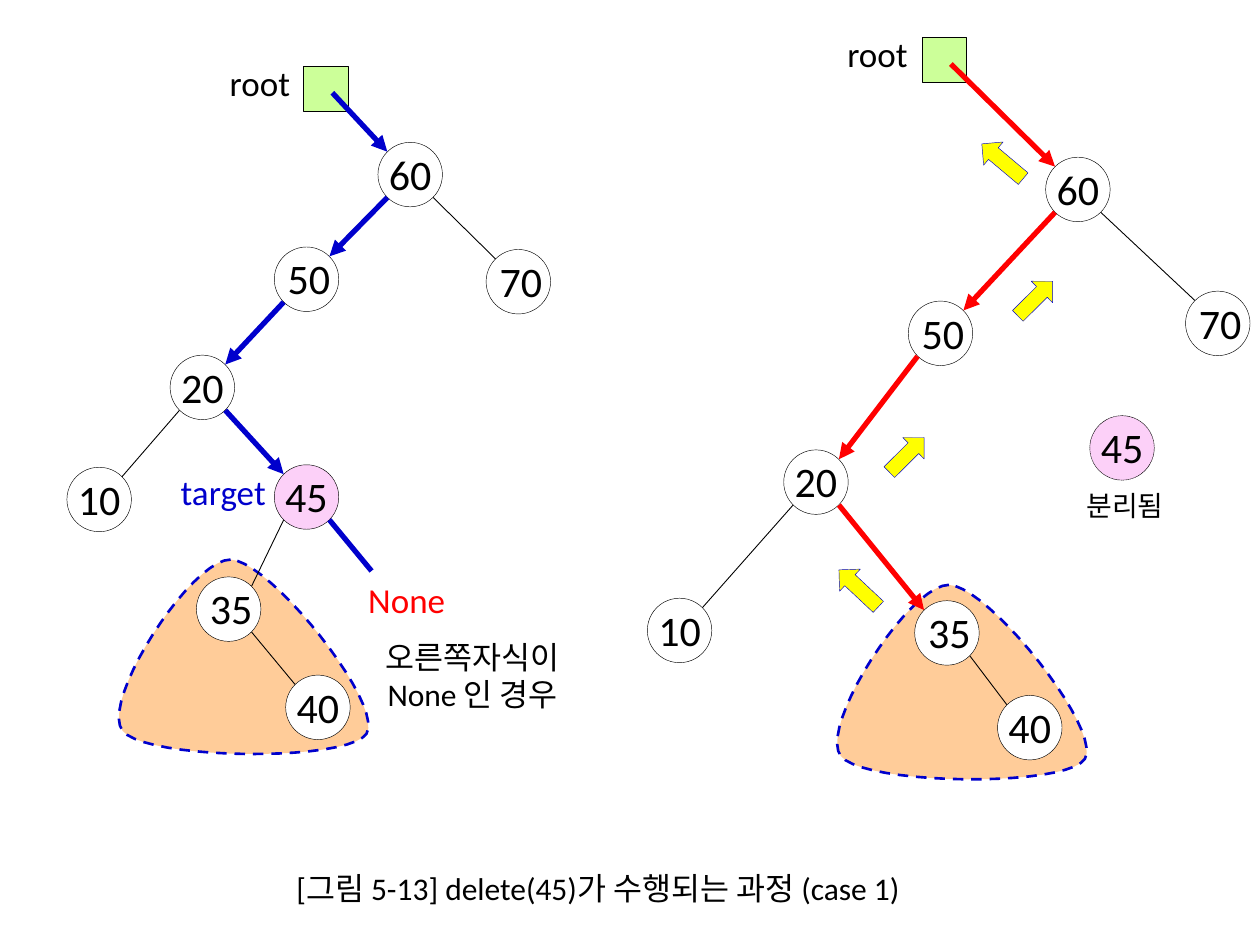
from lxml import etree
from pptx import Presentation
from pptx.dml.color import RGBColor
from pptx.enum.dml import MSO_LINE
from pptx.enum.shapes import MSO_CONNECTOR, MSO_SHAPE
from pptx.enum.text import MSO_ANCHOR, PP_ALIGN
from pptx.oxml.ns import qn
from pptx.util import Cm, Pt

OVAL, SQUARE, ARROW = MSO_SHAPE.OVAL, MSO_SHAPE.RECTANGLE, MSO_SHAPE.RIGHT_ARROW
STRAIGHT = MSO_CONNECTOR.STRAIGHT
CENTER, LEFT = PP_ALIGN.CENTER, PP_ALIGN.LEFT
DASH, SHORT_DASH = MSO_LINE.DASH, MSO_LINE.SQUARE_DOT

BLACK, WHITE, BLUE, RED = "000000", "FFFFFF", "0000CC", "FF0000"
PINK, GREEN, ORANGE, YELLOW = "FCD0F8", "CCFF99", "FFCC99", "FFFF00"
FONT = "Calibri"
NODE, ROOT = 1.3, 0.9
CORNER = NODE / 2 * 0.71
LABEL_SHIFT = {"35": 0.05, "50": 0.05, "70": 0.05}

# Each tree: node centres, edges, search path, colour and subtree apex, in cm
TREES = [
    {
        "root": (6.57, 1.79), "color": BLUE, "subtree": (4.65, 11.28),
        "nodes": {"60": (8.27, 3.52), "50": (6.18, 5.63), "70": (10.45, 5.68),
                  "20": (4.08, 7.81), "10": (2, 10.07), "45": (6.18, 10.02),
                  "35": (4.61, 12.28), "40": (6.41, 14.26)},
        "edges": [("60", "70"), ("20", "10"), ("45", "35"), ("35", "40")],
        "path": ["60", "50", "20", "45"],
    },
    {
        "root": (19.04, 1.21), "color": RED, "subtree": (19.13, 11.79),
        "nodes": {"60": (21.73, 3.82), "50": (18.96, 6.72), "70": (24.55, 6.52),
                  "20": (16.45, 9.72), "10": (13.7, 12.71),
                  "35": (19.09, 12.76), "40": (20.76, 14.67)},
        "edges": [("60", "70"), ("20", "10"), ("35", "40")],
        "path": ["60", "50", "20", "35"],
    },
]
SUBTREE_CURVES = [
    [(0, 0), (-0.81, 0), (-2.64, 2.87), (-2.18, 3.45)],
    [(-2.18, 3.45), (-1.73, 4.04), (2.36, 4.09), (2.74, 3.51)],
    [(2.74, 3.51), (3.1, 2.92), (0.81, 0.03), (0, 0)],
]
DETACHED = (22.62, 9.03)
NONE_EDGE = ((6.64, 10.48), (7.49, 11.51))
RETURN_ARROWS = [  # centre, length, rotation
    ((18.28, 9.17), 0.99, 315.2),
    ((20.87, 6.02), 0.99, 315.2),
    ((20.21, 3.25), 1.09, 220),
    ((17.31, 11.86), 1.09, 223.2),
]
NOTES = [  # lines, centre, size, font size, colour
    (["root"], (5.24, 1.68), (2, 1.12), 20, BLACK),
    (["root"], (17.69, 1.09), (2, 1.12), 20, BLACK),
    (["target"], (4.5, 9.93), (2.64, 1.12), 20, BLUE),
    (["None"], (8.2, 12.09), (2.49, 1.12), 20, RED),
    (["오른쪽자식이", "None 인 경우"], (9.53, 13.63), (4.62, 1.8), 18, BLACK),
    (["분리됨"], (22.68, 10.2), (3.68, 0.94), 16, BLACK),
]
CAPTION = "[그림 5-13] delete(45)가 수행되는 과정 (case 1)"


def color(hex_value):
    """Turn a hex string into a colour."""
    return RGBColor.from_string(hex_value)


def apply_format(target, values):
    """Set each attribute of the target from a dict."""
    for name, value in values.items():
        setattr(target, name, value)


def box(center, size):
    """Return left, top, width and height around a centre."""
    (x, y), (width, height) = center, size
    return Cm(x - width / 2), Cm(y - height / 2), Cm(width), Cm(height)


def paint(shape, fill, line, weight, dash=None):
    """Give a shape its fill and outline without a shadow."""
    shape.shadow.inherit = False
    shape.fill.solid()
    shape.fill.fore_color.rgb = color(fill)
    shape.line.color.rgb = color(line)
    apply_format(shape.line, {"width": Pt(weight), "dash_style": dash})


def write(frame, lines, size, text_color, alignment=CENTER):
    """Write the lines as formatted paragraphs."""
    apply_format(frame, {"word_wrap": True, "vertical_anchor": MSO_ANCHOR.TOP})
    frame.text = "\n".join(lines)
    for paragraph in frame.paragraphs:
        paragraph.alignment = alignment
        apply_format(paragraph.font, {"name": FONT, "size": Pt(size)})
        paragraph.font.color.rgb = color(text_color)


def add_text(slide, lines, center, size, font_size, text_color):
    """Add a text box around a centre."""
    text_box = slide.shapes.add_textbox(*box(center, size))
    write(text_box.text_frame, lines, font_size, text_color)


def add_node(slide, key, center, fill, dash=None):
    """Add a tree node with its key on top."""
    circle = slide.shapes.add_shape(OVAL, *box(center, (NODE, NODE)))
    paint(circle, fill, BLACK, 0.25, dash)
    x, y = center
    add_text(slide, [key], (x + LABEL_SHIFT.get(key, 0), y - 0.02),
             (1.5, 1.27), 24, BLACK)


def add_line(slide, start, end, line_color=BLACK, weight=0.5, arrow=False):
    """Add a straight line, with an arrowhead if asked."""
    line = slide.shapes.add_connector(STRAIGHT, *map(Cm, start + end))
    line.line.color.rgb = color(line_color)
    line.line.width = Pt(weight)
    if arrow:
        etree.SubElement(line.line._get_or_add_ln(), qn("a:tailEnd"), type="triangle")
    etree.SubElement(line._element.spPr, qn("a:effectLst"))


def edge_ends(parent, child):
    """Return the diagonal rim points that join parent and child."""
    side = CORNER if child[0] > parent[0] else -CORNER
    return ((parent[0] + side, parent[1] + CORNER),
            (child[0] - side, child[1] - CORNER))


def curve_point(curve, t):
    """Return the point at t on a cubic curve."""
    weights = ((1 - t) ** 3, 3 * t * (1 - t) ** 2, 3 * t * t * (1 - t), t ** 3)
    return [sum(w * point[axis] for w, point in zip(weights, curve))
            for axis in (0, 1)]


def add_subtree(slide, apex):
    """Add the rounded dashed outline below its apex."""
    points = [(Cm(apex[0] + x), Cm(apex[1] + y))
              for curve in SUBTREE_CURVES
              for x, y in (curve_point(curve, step / 20) for step in range(1, 21))]
    builder = slide.shapes.build_freeform(Cm(apex[0]), Cm(apex[1]))
    builder.add_line_segments(points, close=True)
    paint(builder.convert_to_shape(), ORANGE, BLUE, 1.5, DASH)


def add_tree(slide, tree):
    """Add a tree with its root pointer and search path."""
    nodes, line_color = tree["nodes"], tree["color"]
    add_subtree(slide, tree["subtree"])
    for key, center in nodes.items():
        add_node(slide, key, center, PINK if key == "45" else WHITE)
    for parent, child in tree["edges"]:
        add_line(slide, *edge_ends(nodes[parent], nodes[child]))
    for parent, child in zip(tree["path"], tree["path"][1:]):
        add_line(slide, *edge_ends(nodes[parent], nodes[child]), line_color, 3, True)
    square = slide.shapes.add_shape(SQUARE, *box(tree["root"], (ROOT, ROOT)))
    paint(square, GREEN, BLACK, 0.5)
    x, y = tree["root"]
    top = edge_ends(tree["root"], nodes["60"])[1]
    add_line(slide, (x + 0.13, y + 0.08), top, line_color, 3, True)


def main():
    """Build the slide and save it."""
    presentation = Presentation()
    apply_format(presentation, {"slide_width": Cm(25.4), "slide_height": Cm(19.05)})
    slide = presentation.slides.add_slide(presentation.slide_layouts[5])
    caption = slide.shapes.title
    apply_format(caption, {"left": Cm(5.72), "top": Cm(17.4),
                           "width": Cm(15.88), "height": Cm(1.02)})
    write(caption.text_frame, [CAPTION], 18, BLACK, LEFT)
    for tree in TREES:
        add_tree(slide, tree)
    add_line(slide, *NONE_EDGE, BLUE, 3)
    add_node(slide, "45", DETACHED, PINK, SHORT_DASH)
    for center, length, rotation in RETURN_ARROWS:
        arrow = slide.shapes.add_shape(ARROW, *box(center, (length, 0.61)))
        arrow.rotation = rotation
        paint(arrow, YELLOW, BLUE, 0.25)
    for note in NOTES:
        add_text(slide, *note)
    presentation.save("out.pptx")


if __name__ == "__main__":
    main()
